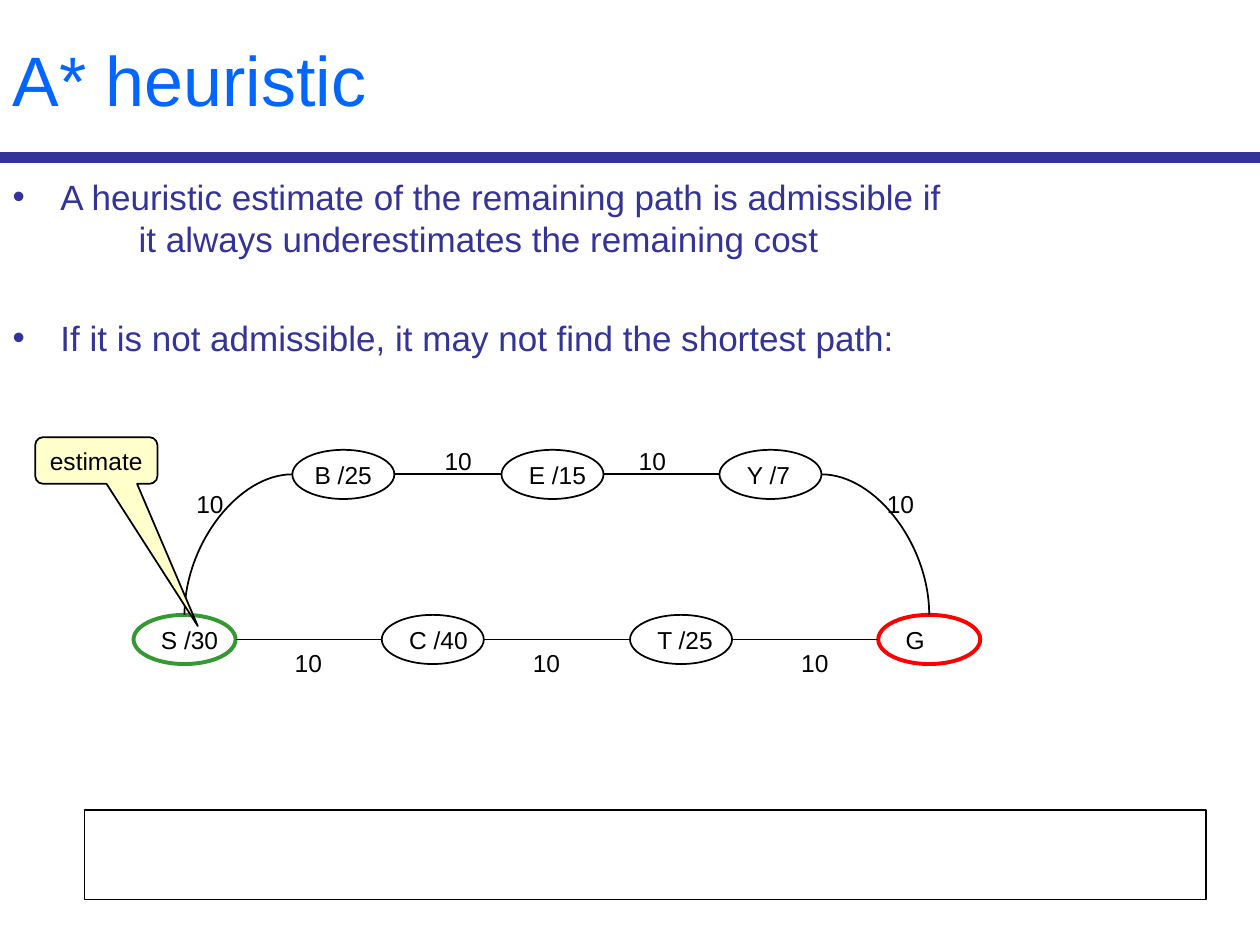
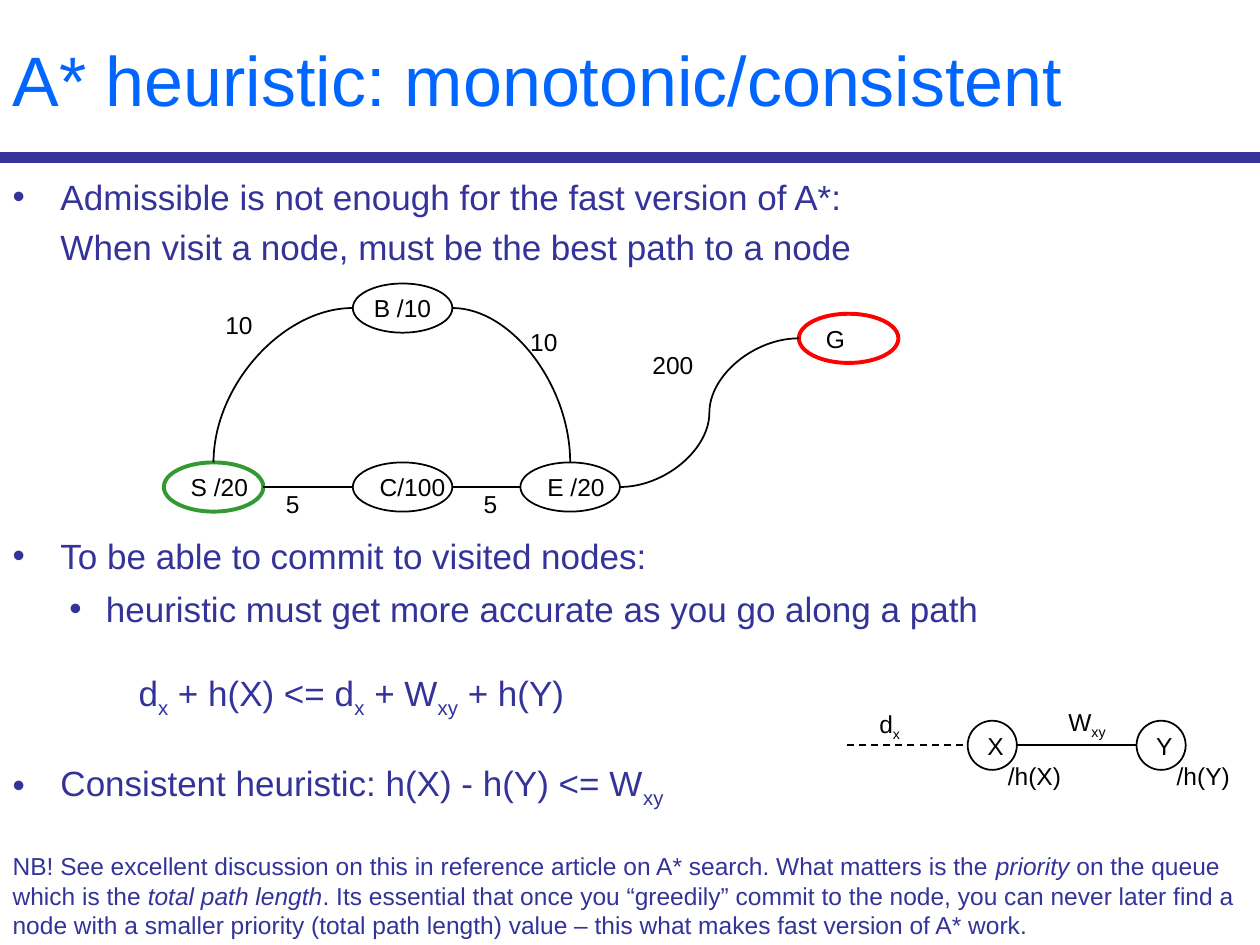
from dataclasses import dataclass

from lxml import etree
from pptx import Presentation
from pptx import util as u
from pptx.dml.color import RGBColor
from pptx.enum import dml, shapes, text
from pptx.oxml import ns


@dataclass(frozen=True)
class Theme:
    font: str = "Arial"
    title: str = "0066FF"
    body: str = "333399"
    ink: str = "000000"
    paper: str = "FFFFFF"
    start: str = "339933"
    goal: str = "FF0000"
    note: str = "FFFFCC"
    head_size: float = 40
    body_size: float = 20
    small: float = 14
    thin: float = 1
    thick: float = 2.25
    band: float = 6


T = Theme()
LEFT, MID = text.PP_ALIGN.LEFT, text.PP_ALIGN.CENTER
SUB, ITAL = "sub", "italic"


@dataclass(frozen=True)
class Item:
    """A body paragraph; plain and styled bits of text form its runs."""
    bits: tuple
    gap: float = 0
    left: float = 0.38
    hang: float = 0
    size: float = T.body_size


@dataclass(frozen=True)
class Node:
    label: str
    left: float
    top: float
    width: float
    line: str = T.ink
    align: text.PP_ALIGN = LEFT
    high: float = 0.39

    @property
    def name(self) -> str:
        return self.label[0]

    @property
    def mid_x(self) -> float:
        return self.left + self.width / 2

    @property
    def mid_y(self) -> float:
        return self.top + self.high / 2


@dataclass(frozen=True)
class Edge:
    """Leaves the side of one node; a bent edge lands on top of the next."""
    start: str
    end: str
    bend: bool = False


@dataclass(frozen=True)
class Tag:
    bits: tuple
    left: float
    top: float
    width: float = 0.42


# Text helpers
def style(para, size: float, color: str, align=LEFT) -> None:
    para.alignment = align
    font = para.font
    font.name, font.size = T.font, u.Pt(size)
    font.color.rgb = RGBColor.from_string(color)


def add_runs(para, bits: tuple) -> None:
    for bit in bits:
        words, look = bit if isinstance(bit, tuple) else (bit, "")
        run = para.add_run()
        run.text = words
        if look == SUB:
            run._r.get_or_add_rPr().set("baseline", "-25000")
        elif look == ITAL:
            run.font.italic = True


def set_list(para, item: Item) -> None:
    para.space_before = u.Pt(item.gap)
    props = para._p.get_or_add_pPr()
    props.set("marL", str(u.Inches(item.left)))
    props.set("indent", str(-u.Inches(item.hang)))
    kind = "a:buChar" if item.hang else "a:buNone"
    mark = etree.SubElement(props, ns.qn(kind))
    if item.hang:
        mark.set("char", "•")


# Shape helpers
def box(left: float, top: float, width: float, high: float) -> tuple:
    return tuple(u.Inches(n) for n in (left, top, width, high))


def add_line(slide, x1: float, y1: float, x2: float, y2: float,
             kind=shapes.MSO_CONNECTOR.STRAIGHT, color: str = T.ink,
             width: float = T.thin):
    line = slide.shapes.add_connector(kind, *box(x1, y1, x2, y2))
    line.line.color.rgb = RGBColor.from_string(color)
    line.line.width = u.Pt(width)
    etree.SubElement(line.element.spPr, ns.qn("a:effectLst"))
    return line


def add_form(slide, kind, place: tuple, fill: str = T.paper,
             line: str = T.ink, words: str = "", align=LEFT):
    form = slide.shapes.add_shape(kind, *box(*place))
    form.shadow.inherit = False
    form.fill.solid()
    form.fill.fore_color.rgb = RGBColor.from_string(fill)
    form.line.color.rgb = RGBColor.from_string(line)
    form.line.width = u.Pt(T.thin if line == T.ink else T.thick)
    if words:
        frame = form.text_frame
        frame.word_wrap = False
        frame.vertical_anchor = text.MSO_ANCHOR.MIDDLE
        para = frame.paragraphs[0]
        style(para, T.small, T.ink, align)
        add_runs(para, (words,))
    return form


def add_tag(slide, tag: Tag) -> None:
    frame = slide.shapes.add_textbox(
        *box(tag.left, tag.top, tag.width, 0.34)).text_frame
    frame.word_wrap = False
    frame.auto_size = text.MSO_AUTO_SIZE.SHAPE_TO_FIT_TEXT
    para = frame.paragraphs[0]
    style(para, T.small, T.ink)
    add_runs(para, tag.bits)


def add_edge(slide, start: Node, end: Node, bend: bool) -> None:
    ahead = end.left > start.left
    x1 = start.left + start.width * ahead
    if bend:
        x2, y2 = end.mid_x, end.top
    else:
        x2, y2 = end.left + end.width * (not ahead), end.mid_y
    line = add_line(slide, x1, start.mid_y, x2, y2,
                    shapes.MSO_CONNECTOR.CURVE)
    if bend:
        line.element.spPr.find(ns.qn("a:prstGeom")).set(
            "prst", "curvedConnector2")


def add_graph(slide, nodes: list[Node], edges: list[Edge],
              tags: list[Tag]) -> None:
    lookup = {node.name: node for node in nodes}
    for node in nodes:
        add_form(slide, shapes.MSO_SHAPE.OVAL,
                 (node.left, node.top, node.width, node.high),
                 line=node.line, words=node.label, align=node.align)
    for edge in edges:
        add_edge(slide, lookup[edge.start], lookup[edge.end], edge.bend)
    for tag in tags:
        add_tag(slide, tag)


# Shared page: band, title and list
def add_page(deck, head: str, items: list[Item]):
    slide = deck.slides.add_slide(deck.slide_layouts[1])
    add_line(slide, 0, 1.25, 10, 1.25, color=T.body, width=T.band)

    title, body = slide.shapes.title, slide.placeholders[1]
    title.left, title.top, title.width, title.height = box(0, 0, 10, 1.25)
    body.left, body.top, body.width, body.height = box(0, 1.31, 10, 6.19)
    for frame in (title.text_frame, body.text_frame):
        frame.word_wrap = True
        frame.auto_size = text.MSO_AUTO_SIZE.NONE

    title.text_frame.vertical_anchor = text.MSO_ANCHOR.MIDDLE
    para = title.text_frame.paragraphs[0]
    style(para, T.head_size, T.title)
    add_runs(para, (head,))

    frame = body.text_frame
    frame.vertical_anchor = text.MSO_ANCHOR.TOP
    frame.margin_top = u.Inches(0.08)
    for num, item in enumerate(items):
        para = frame.add_paragraph() if num else frame.paragraphs[0]
        set_list(para, item)
        style(para, item.size, T.body)
        add_runs(para, item.bits)
    return slide


# Slide 1: an estimate that is too high
def short_path(deck) -> None:
    slide = add_page(deck, "A* heuristic", [
        Item(("A heuristic estimate of the remaining path is admissible if",),
             hang=0.38),
        Item(("it always underestimates the remaining cost",), left=1),
        Item(("If it is not admissible, it may not find the shortest path:",),
             gap=33, hang=0.38),
    ])
    wide, high, low = 0.81, 3.57, 4.88
    base = [("S /30", T.start), ("C /40", T.ink),
            ("T /25", T.ink), ("G", T.goal)]
    nodes = [Node(label, 1.06 + 1.97 * col, low, wide, line)
             for col, (label, line) in enumerate(base)]
    nodes += [Node("B /25", 2.32, high, wide, align=MID),
              Node("E /15", 3.98, high, wide),
              Node("Y /7", 5.71, high, wide)]
    edges = [Edge("B", "S", True), Edge("Y", "G", True)]
    edges += [Edge(*pair) for pair in ("SC", "CT", "TG", "BE", "EY")]
    spots = [(1.46, 3.83), (6.94, 3.83), (3.43, 3.49), (4.97, 3.49),
             (2.24, 5.09), (4.13, 5.09), (6.26, 5.09)]
    add_graph(slide, nodes, edges, [Tag(("10",), *spot) for spot in spots])

    # Answer frame and callout
    add_form(slide, shapes.MSO_SHAPE.RECTANGLE, (0.67, 6.43, 8.9, 0.71))
    note = add_form(slide, shapes.MSO_SHAPE.ROUNDED_RECTANGULAR_CALLOUT,
                    (0.28, 3.47, 0.97, 0.37), T.note,
                    words="estimate", align=MID)
    for num, value in enumerate((0.83, 3.55, 0.17)):
        note.adjustments[num] = value


# Slide 2: the consistent heuristic
def fast_path(deck) -> None:
    slide = add_page(deck, "A* heuristic: monotonic/consistent", [
        Item(("Admissible is not enough for the fast version of A*:",),
             hang=0.38),
        Item(("When visit a node, must be the best path to a node",), gap=4.6),
        Item(("To be able to commit to visited nodes:",), gap=153, hang=0.38),
        Item(("heuristic must get more accurate as you go along a path",),
             gap=6, left=0.74, hang=0.29),
        Item(("d", ("x", SUB), " + h(X) <= d", ("x", SUB), " + W",
              ("xy", SUB), " + h(Y)"), gap=24, left=1),
        Item(("Consistent heuristic: h(X) - h(Y) <= W", ("xy", SUB)),
             gap=24, hang=0.38),
        Item(("NB! See excellent discussion on this in reference article on "
              "A* search. What matters is the ", ("priority", ITAL),
              " on the queue which is the ", ("total path length", ITAL),
              ". Its essential that once you “greedily” commit to the node, "
              "you can never later find a node with a smaller priority "
              "(total path length) value – this what makes fast version of "
              "A* work."), gap=24, left=0, size=T.small),
    ])
    wide, low = 0.79, 3.67
    add_graph(
        slide,
        [Node("S /20", 1.3, low, wide, T.start),
         Node("C/100", 2.8, low, wide),
         Node("E /20", 4.13, low, wide),
         Node("B /10", 2.8, 2.25, wide, align=MID),
         Node("G", 6.34, 2.49, wide, T.goal)],
        [Edge("B", "S", True), Edge("B", "E", True),
         Edge("S", "C"), Edge("C", "E"), Edge("G", "E")],
        [Tag(("10",), 1.69, 2.41), Tag(("10",), 4.11, 2.55),
         Tag(("5",), 2.17, 3.83, 0.31), Tag(("5",), 3.74, 3.83, 0.31),
         Tag(("200",), 5.08, 2.73, 0.53)])

    # One step from X to Y
    pair = [Node("X", 7.68, 5.72, 0.39), Node("Y", 9.02, 5.72, 0.39)]
    tags = [Tag((f"/h({node.name})",), node.left + 0.22, 5.99, 0.62)
            for node in pair]
    tags += [Tag(("d", ("x", SUB)), 6.88, 5.58, 0.38),
             Tag(("W", ("xy", SUB)), 8.38, 5.56, 0.52)]
    add_graph(slide, pair, [Edge("X", "Y")], tags)
    past = add_line(slide, 6.72, pair[0].mid_y, pair[0].left, pair[0].mid_y)
    past.line.dash_style = dml.MSO_LINE.DASH


def main() -> None:
    deck = Presentation()
    deck.slide_width, deck.slide_height = u.Inches(10), u.Inches(7.5)
    short_path(deck)
    fast_path(deck)
    deck.save("out.pptx")


if __name__ == "__main__":
    main()
